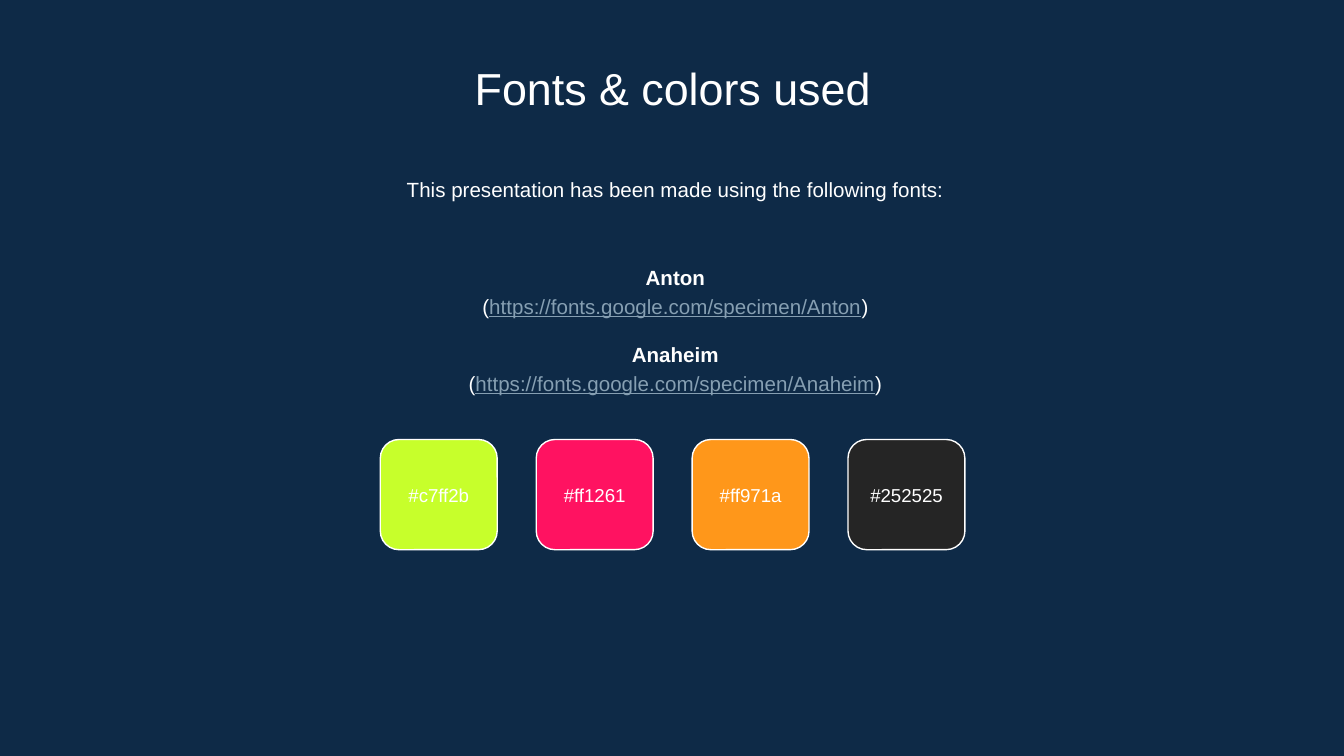
from pptx import Presentation
from pptx.dml.color import RGBColor
from pptx.enum.shapes import MSO_SHAPE as Shape
from pptx.enum.text import MSO_ANCHOR as Anchor, PP_ALIGN as Align
from pptx.util import Inches, Pt

NAVY = RGBColor(0x0E, 0x2A, 0x47)
WHITE = RGBColor(0xFF, 0xFF, 0xFF)
LINK = RGBColor(0x86, 0x9F, 0xB2)

TITLE = "Fonts & colors used"
INTRO = "This presentation has been made using the following fonts:"
FONTS = [
    ("Anton", "https://fonts.google.com/specimen/Anton"),
    ("Anaheim", "https://fonts.google.com/specimen/Anaheim"),
]
SWATCHES = ["#c7ff2b", "#ff1261", "#ff971a", "#252525"]

SWATCH_LEFT, SWATCH_TOP, SWATCH_STEP = 2.83, 3.27, 1.16
SWATCH_WIDTH, SWATCH_HEIGHT, LABEL_HEIGHT = 0.87, 0.82, 0.48


def add_text_box(page, left, top, width, height, anchor=Anchor.TOP):
    box = page.shapes.add_textbox(
        Inches(left), Inches(top), Inches(width), Inches(height))
    frame = box.text_frame
    frame.word_wrap = True
    frame.vertical_anchor = anchor
    frame.margin_left = frame.margin_right = Inches(0.1)
    frame.margin_top = frame.margin_bottom = Inches(0.1)
    return frame


def style(para, size, spacing=1.0, bold=False):
    para.alignment = Align.CENTER
    para.line_spacing = spacing
    para.font.name = "Arial"
    para.font.size = Pt(size)
    para.font.bold = bold
    para.font.color.rgb = WHITE


def add_font_list(page):
    frame = add_text_box(page, 1.17, 1.76, 7.71, 1.37, Anchor.MIDDLE)
    for index, (name, address) in enumerate(FONTS):
        heading = frame.add_paragraph() if index else frame.paragraphs[0]
        heading.text = name
        style(heading, 11, 1.15, bold=True)
        if index:
            heading.space_before = Pt(11)

        para = frame.add_paragraph()
        for part in ("(", address, ")"):
            span = para.add_run()
            span.text = part
            if part == address:
                span.font.underline = True
                span.font.color.rgb = LINK
        style(para, 11, 1.15)


def add_swatch(page, index, code):
    left = SWATCH_LEFT + index * SWATCH_STEP
    tile = page.shapes.add_shape(
        Shape.ROUNDED_RECTANGLE, Inches(left), Inches(SWATCH_TOP),
        Inches(SWATCH_WIDTH), Inches(SWATCH_HEIGHT))
    tile.shadow.inherit = False
    tile.adjustments[0] = 0.17
    tile.fill.solid()
    tile.fill.fore_color.rgb = RGBColor.from_string(code[1:].upper())
    tile.line.color.rgb = WHITE
    tile.line.width = Pt(0.75)

    label_top = SWATCH_TOP + (SWATCH_HEIGHT - LABEL_HEIGHT) / 2
    label = add_text_box(
        page, left, label_top, SWATCH_WIDTH, LABEL_HEIGHT, Anchor.MIDDLE)
    label.text = code
    style(label.paragraphs[0], 10)


def main():
    deck = Presentation()
    deck.slide_width = Inches(10)
    deck.slide_height = deck.slide_width * 9 // 16
    page = deck.slides.add_slide(deck.slide_layouts[6])
    page.background.fill.solid()
    page.background.fill.fore_color.rgb = NAVY

    title = add_text_box(page, 1.15, 0.35, 7.71, 0.53)
    title.text = TITLE
    style(title.paragraphs[0], 24)

    intro = add_text_box(page, 1.17, 1.19, 7.71, 0.48)
    intro.text = INTRO
    style(intro.paragraphs[0], 11, 1.15)

    add_font_list(page)
    for index, code in enumerate(SWATCHES):
        add_swatch(page, index, code)
    deck.save("out.pptx")


if __name__ == "__main__":
    main()
